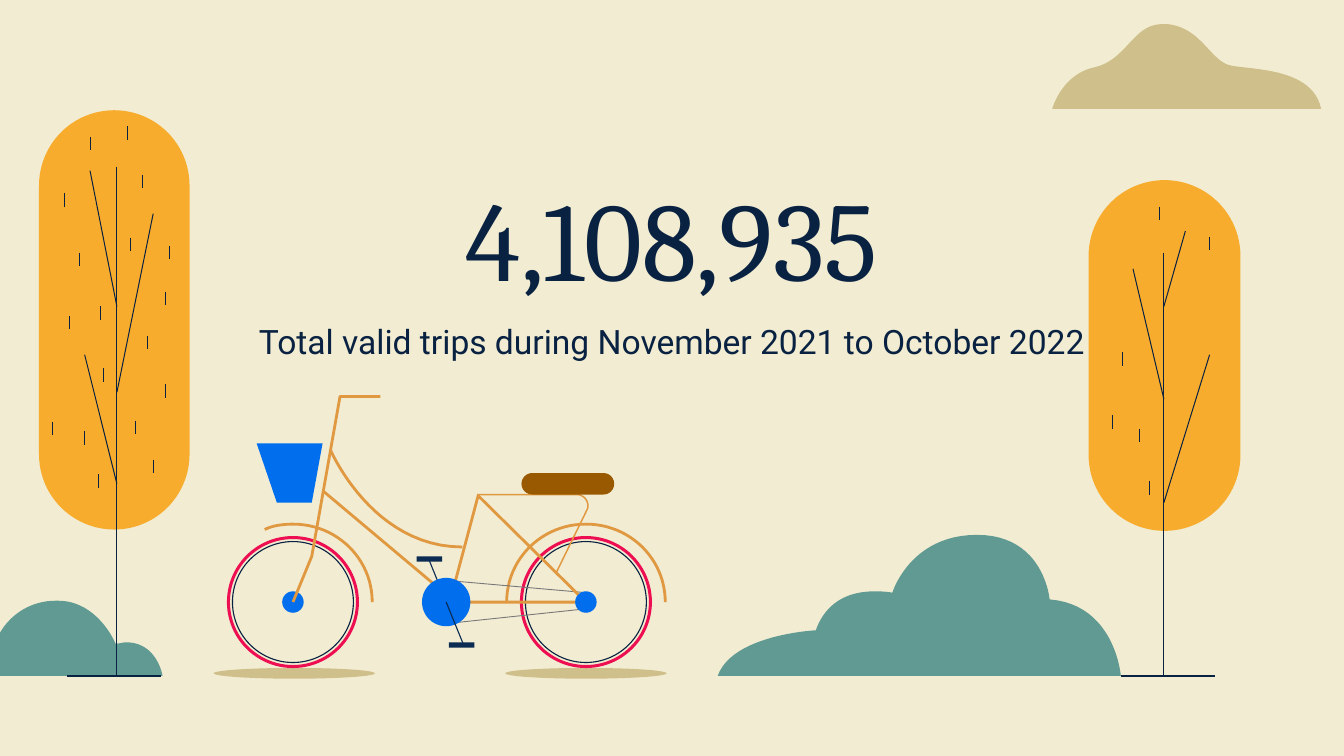
import lxml.etree
import pptx
import pptx.dml.color
import pptx.enum.shapes
import pptx.enum.text
import pptx.oxml.ns
import pptx.util

Inches = pptx.util.Inches
KIND = pptx.enum.shapes.MSO_SHAPE
COLORS = {
    "sky": "F2ECD2", "sand": "CFBF8B", "bush": "609A92", "leaf": "F7AC2D",
    "ink": "092242", "tyre": "ED0F51", "frame": "E09941", "blue": "006EED",
    "navy": "0B2B52", "chain": "787878", "seat": "995900",
}


def tint(name):
    """Return the named colour."""
    return pptx.dml.color.RGBColor.from_string(COLORS[name])


def paint(shape, fill=None, line=None, width=1.5):
    """Set a shape's fill and line and drop its shadow."""
    shape.shadow.inherit = False
    if fill:
        shape.fill.solid()
        shape.fill.fore_color.rgb = tint(fill)
    else:
        shape.fill.background()
    if line:
        shape.line.color.rgb = tint(line)
        shape.line.width = pptx.util.Pt(width)
    else:
        shape.line.fill.background()


def block(slide, kind, box, **style):
    """Add a painted preset shape in a box."""
    shape = slide.shapes.add_shape(kind, *map(Inches, box))
    paint(shape, **style)
    return shape


def disc(slide, x, y, rx, ry=None, **style):
    """Add an ellipse around a centre."""
    ry = ry or rx
    block(slide, KIND.OVAL, (x - rx, y - ry, 2 * rx, 2 * ry), **style)


def pill(slide, box, fill):
    """Add a fully rounded bar."""
    block(slide, KIND.ROUNDED_RECTANGLE, box, fill=fill).adjustments[0] = 0.5


def stroke(slide, x1, y1, x2, y2, color="ink", width=0.54):
    """Add a straight line."""
    line = slide.shapes.add_connector(
        pptx.enum.shapes.MSO_CONNECTOR.STRAIGHT, *map(Inches, (x1, y1, x2, y2)))
    line.line.color.rgb = tint(color)
    line.line.width = pptx.util.Pt(width)
    lxml.etree.SubElement(line._element.spPr, pptx.oxml.ns.qn("a:effectLst"))


def bend(start, curve, steps=24):
    """Return points along a cubic curve."""
    knots = [start, curve[:2], curve[2:4], curve[4:]]
    points = []
    for step in range(1, steps + 1):
        t = step / steps
        parts = ((1 - t) ** 3, 3 * t * (1 - t) ** 2, 3 * t * t * (1 - t), t ** 3)
        points.append(tuple(sum(p * k[i] for p, k in zip(parts, knots)) for i in (0, 1)))
    return points


def trace(slide, x, y, route, **style):
    """Draw a route of points (2 values) and curves (6 values) from a corner."""
    points = [route[0]]
    for part in route[1:]:
        points += bend(points[-1], part) if len(part) == 6 else [part]
    spots = [(Inches(x + px), Inches(y + py)) for px, py in points]
    form = slide.shapes.build_freeform(*spots[0])
    form.add_line_segments(spots[1:], close="fill" in style)
    paint(form.convert_to_shape(), **style)


def tree(slide, box, trunk, ground, limbs, ticks):
    """Draw a tree whose crown fills the box."""
    x, y = box[:2]
    mid, top, foot = trunk
    pill(slide, box, "leaf")
    stroke(slide, x + mid, y + top, x + mid, y + foot)
    stroke(slide, x + ground, y + foot, x + ground + 0.7, y + foot)
    for tip, high, low in limbs:
        stroke(slide, x + tip, y + high, x + mid, y + low)
    for left, high in ticks:
        stroke(slide, x + left, y + high, x + left, y + high + 0.1)


def wheel(slide, x, y, shade, guard):
    """Draw a wheel, its ground shade and its mudguard around a hub."""
    disc(slide, x + shade, y + 0.53, 0.6, 0.04, fill="sand")
    disc(slide, x, y, 0.48, line="tyre", width=1.62)
    trace(slide, x, y, guard, line="frame")
    disc(slide, x, y, 0.45, line="ink", width=0.6)


def bike(slide, x, y):
    """Draw the bicycle from its top left corner."""
    axle = y + 1.53
    front, rear, crank = x + 0.59, x + 2.77, x + 1.73
    arch = [(0.59, 0), (0.59, -0.32, 0.33, -0.58, 0, -0.58)]
    wheel(slide, front, axle, 0.01,
          arch + [(-0.07, -0.58, -0.15, -0.57, -0.21, -0.54)])
    wheel(slide, rear, axle, 0, arch + [(-0.33, -0.58, -0.59, -0.32, -0.59, 0)])
    disc(slide, front, axle, 0.08, fill="blue")
    trace(slide, x, y, [(0.59, 1.53), (0.73, 1.19), (0.94, 0), (1.24, 0)], line="frame")
    stroke(slide, x + 1.97, y + 0.73, x + 1.77, y + 1.48, "frame", 1.5)
    trace(slide, x, y, [(1.75, 1.37), (2.77, 1.46), (2.77, 1.58), (1.73, 1.69)],
          line="chain", width=0.48)
    trace(slide, x, y, [(0.87, 0.4), (0.87, 0.4, 1.18, 1.12, 1.85, 1.12)], line="frame")
    stroke(slide, x + 0.81, y + 0.7, x + 1.75, y + 1.49, "frame", 1.5)
    trace(slide, x, y, [(1.97, 0.74), (2.77, 1.53), (1.8, 1.53)], line="frame")
    disc(slide, rear, axle, 0.08, fill="blue")
    stroke(slide, crank - 0.13, axle - 0.32, crank, axle, "navy", 0.6)
    disc(slide, crank, axle, 0.18, fill="blue")
    stroke(slide, crank, axle, crank + 0.13, axle + 0.32, "navy", 0.6)
    for left, high in ((1.51, 1.19), (1.75, 1.83)):
        block(slide, KIND.RECTANGLE, (x + left, y + high, 0.19, 0.04), fill="navy")
    trace(slide, x, y, [(1.96, 0.73), (2.7, 0.73), (2.76, 0.73, 2.8, 0.79, 2.78, 0.84),
                        (2.55, 1.31)], line="frame", width=0.78)
    trace(slide, x, y, [(0.32, 0.35), (0.47, 0.79), (0.73, 0.79), (0.81, 0.35)], fill="blue")
    pill(slide, (x + 2.29, y + 0.57, 0.69, 0.16), "seat")


def label(holder, box, text, font, size, anchor):
    """Place a placeholder and write one centred line in it."""
    holder.left, holder.top, holder.width, holder.height = map(Inches, box)
    frame = holder.text_frame
    frame.word_wrap = True
    frame.auto_size = pptx.enum.text.MSO_AUTO_SIZE.NONE
    frame.vertical_anchor = anchor
    frame.margin_left = frame.margin_right = Inches(0.1)
    frame.margin_top = frame.margin_bottom = Inches(0.1)
    para = frame.paragraphs[0]
    para.alignment = pptx.enum.text.PP_ALIGN.CENTER
    para.space_before = pptx.util.Pt(0)
    props = para._p.get_or_add_pPr()
    props.set("marL", "0")
    props.set("indent", "0")
    lxml.etree.SubElement(props, pptx.oxml.ns.qn("a:buNone"))
    run = para.add_run()
    run.text = text
    run.font.name = font
    run.font.size = pptx.util.Pt(size)
    run.font.color.rgb = tint("ink")


def scene(slide):
    """Draw the bushes, the cloud and the trees."""
    trace(slide, -0.43, 4.47, [
        (0.85, 0), (0.55, 0, 0.43, 0.24, 0.43, 0.24), (0.43, 0.24, 0.02, 0.24, 0, 0.56),
        (1.64, 0.56), (1.64, 0.56, 1.6, 0.31, 1.37, 0.31),
        (1.34, 0.31, 1.32, 0.32, 1.29, 0.32), (1.29, 0.32, 1.16, 0, 0.86, 0)], fill="bush")
    trace(slide, 7.83, 0.18, [
        (0.82, 0), (0.86, 0), (1.12, 0.03, 1.18, 0.29, 1.34, 0.31),
        (1.5, 0.34, 1.94, 0.33, 2, 0.63), (0, 0.63),
        (0, 0.63, 0.07, 0.37, 0.32, 0.32), (0.56, 0.26, 0.6, 0, 0.82, 0)], fill="sand")
    tree(slide, (8.1, 1.34, 1.13, 2.61), (0.56, 0.54, 3.69), 0.24,
         [(0.72, 0.38, 0.94), (0.33, 0.66, 1.63), (0.9, 1.3, 2.4)],
         [(0.38, 1.85), (0.45, 2.24), (0.25, 1.28), (0.18, 1.75), (0.53, 0.2), (0.9, 0.42)])
    tree(slide, (0.29, 0.82, 1.12, 3.12), (0.58, 0.42, 4.21), 0.21,
         [(0.38, 0.45, 1.46), (0.85, 0.77, 2.1), (0.34, 1.82, 2.78)],
         [(0.77, 0.48), (0.68, 0.95), (0.38, 0.2), (0.46, 1.46), (0.48, 1.92), (0.34, 2.39),
          (0.1, 2.32), (0.3, 1.06), (0.23, 1.53), (0.19, 0.62), (0.66, 0.12), (0.97, 1.01),
          (0.94, 1.35), (0.81, 1.68), (0.72, 2.31), (0.44, 2.71), (0.94, 2.04), (0.85, 2.6)])
    trace(slide, 5.34, 3.98, [
        (1.93, 0), (1.43, 0, 1.3, 0.43, 1.3, 0.43), (1.3, 0.43, 1.25, 0.42, 1.17, 0.42),
        (1.03, 0.42, 0.82, 0.46, 0.73, 0.71), (0.73, 0.71, 0.11, 0.74, 0, 1.05), (3, 1.05),
        (3, 1.05, 2.96, 0.52, 2.47, 0.48), (2.47, 0.48, 2.43, 0, 1.93, 0)], fill="bush")


def main():
    """Build and save the slide."""
    deck = pptx.Presentation()
    deck.slide_width = Inches(10)
    deck.slide_height = deck.slide_width * 9 // 16
    slide = deck.slides.add_slide(deck.slide_layouts[1])
    slide.background.fill.solid()
    slide.background.fill.fore_color.rgb = tint("sky")
    anchor = pptx.enum.text.MSO_ANCHOR
    scene(slide)
    label(slide.shapes.title, (0.78, 0.21, 8.44, 2.15), "4,108,935", "Cambria", 60,
          anchor.BOTTOM)
    label(slide.placeholders[1], (0.78, 2.29, 8.44, 1.42),
          "Total valid trips during November 2021 to October 2022", "Roboto", 18, anchor.TOP)
    bike(slide, 1.59, 2.95)
    deck.save("out.pptx")


if __name__ == "__main__":
    main()
